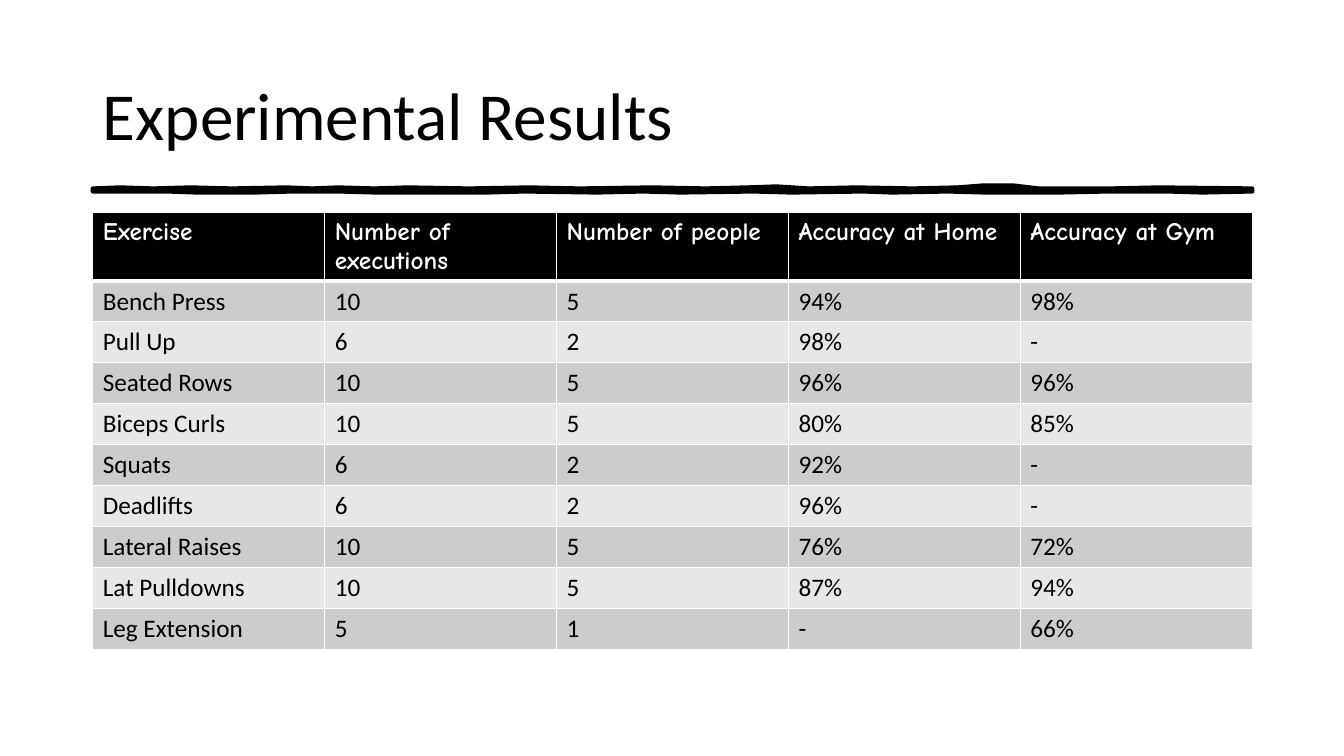
from lxml.etree import SubElement
from pptx import Presentation
from pptx.dml.color import RGBColor
from pptx.enum.text import MSO_ANCHOR, PP_ALIGN
from pptx.oxml.ns import qn
from pptx.util import Pt

PX = 9144  # 100 px to the inch
LEFT, WIDTH = 92, 1150
BLACK, WHITE = "000000", "FFFFFF"
BAND_FILLS = ["CCCCCC", "E7E7E7"]
HEADERS = ["Exercise", "Number of executions", "Number of people",
           "Accuracy at Home", "Accuracy at Gym"]
RESULTS = [
    ["Bench Press", "10", "5", "94%", "98%"],
    ["Pull Up", "6", "2", "98%", "-"],
    ["Seated Rows", "10", "5", "96%", "96%"],
    ["Biceps Curls", "10", "5", "80%", "85%"],
    ["Squats", "6", "2", "92%", "-"],
    ["Deadlifts", "6", "2", "96%", "-"],
    ["Lateral Raises", "10", "5", "76%", "72%"],
    ["Lat Pulldowns", "10", "5", "87%", "94%"],
    ["Leg Extension", "5", "1", "-", "66%"],
]
BRUSH_TOP = [(92, 187), (119, 186), (152, 187), (189, 186), (230, 187),
             (284, 186), (310, 187), (335, 186), (371, 187), (405, 186),
             (465, 187), (525, 186), (575, 187), (647, 186), (700, 187),
             (741, 186), (770, 185), (802, 187), (850, 186), (905, 187),
             (950, 186), (975, 184), (1005, 184), (1030, 187), (1101, 187),
             (1150, 186), (1242, 187)]
BRUSH_BOTTOM = [(1242, 190), (1193, 191), (1158, 190), (1098, 190), (1050, 191),
                (1000, 191), (977, 191), (940, 190), (885, 191), (856, 190),
                (785, 191), (747, 190), (675, 191), (638, 190), (592, 191),
                (520, 190), (483, 191), (422, 191), (373, 191), (336, 190),
                (290, 190), (253, 191), (195, 191), (166, 190), (92, 190)]


def color(value):
    return RGBColor.from_string(value)


def add_borders(cell, widths):
    """Draw white left, right, top and bottom borders, widths in points."""
    properties = cell._tc.get_or_add_tcPr()
    for side, width in zip(["lnL", "lnR", "lnT", "lnB"], widths):
        line = SubElement(properties, qn(f"a:{side}"), w=str(Pt(width)))
        fill = SubElement(line, qn("a:solidFill"))
        SubElement(fill, qn("a:srgbClr"), val=WHITE)


presentation = Presentation()
presentation.slide_width, presentation.slide_height = 1333 * PX, 750 * PX
slide = presentation.slides.add_slide(presentation.slide_layouts[5])

title = slide.shapes.title
title.left, title.top = LEFT * PX, 40 * PX
title.width, title.height = WIDTH * PX, 145 * PX
title.text_frame.text = "Experimental Results"
title.text_frame.vertical_anchor = MSO_ANCHOR.MIDDLE
paragraph = title.text_frame.paragraphs[0]
paragraph.alignment = PP_ALIGN.LEFT
paragraph.font.size, paragraph.font.name = Pt(48), "Calibri"
paragraph.font.color.rgb = color(BLACK)

builder = slide.shapes.build_freeform(*BRUSH_TOP[0], scale=PX)
builder.add_line_segments(BRUSH_TOP[1:] + BRUSH_BOTTOM, close=True)
brush_line = builder.convert_to_shape()
brush_line.shadow.inherit = False
brush_line.fill.solid()
brush_line.fill.fore_color.rgb = color(BLACK)
brush_line.line.color.rgb = color(BLACK)
brush_line.line.width = Pt(3)

rows = [HEADERS] + RESULTS
table = slide.shapes.add_table(len(rows), len(HEADERS), LEFT * PX, 211 * PX,
                               WIDTH * PX, 406 * PX).table
for row_index, row in enumerate(rows):
    is_header = row_index == 0
    top_width = 3 if row_index == 1 else 1
    bottom_width = 3 if is_header else 1
    for column_index, text in enumerate(row):
        cell = table.cell(row_index, column_index)
        cell.text = text
        add_borders(cell, [1, 1, top_width, bottom_width])
        cell.fill.solid()
        cell.fill.fore_color.rgb = color(
            BLACK if is_header else BAND_FILLS[(row_index - 1) % 2])
        font = cell.text_frame.paragraphs[0].font
        font.size, font.bold = Pt(18), is_header
        font.name = "Comic Neue" if is_header else "Calibri"
        font.color.rgb = color(WHITE if is_header else BLACK)

presentation.save("out.pptx")
